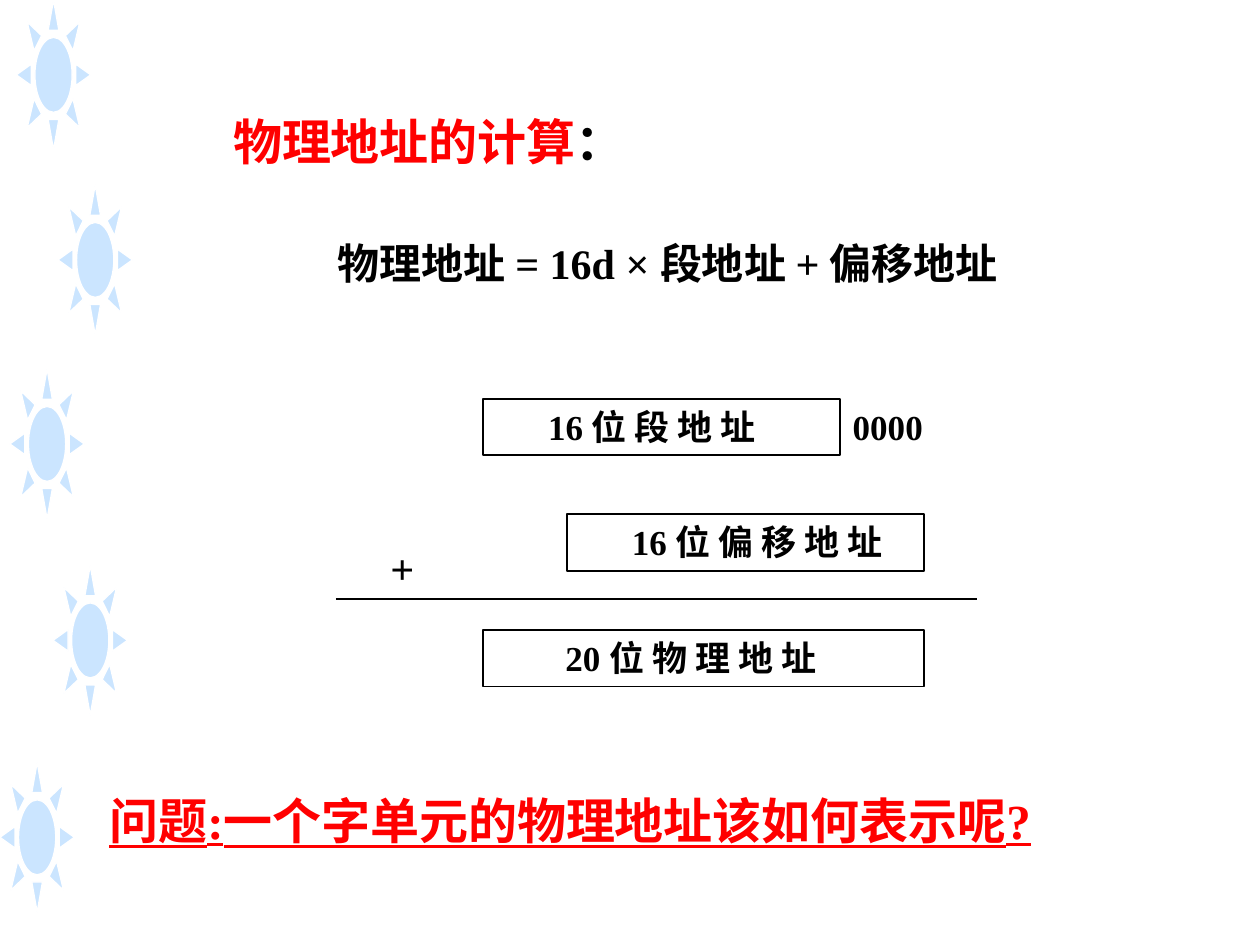
from lxml import etree
from pptx import Presentation
from pptx.dml.color import RGBColor
from pptx.enum import shapes, text
from pptx.oxml import ns
from pptx.util import Cm, Pt

FONT = "Times New Roman"
BLACK, RED, WHITE, PALE_BLUE = "000000", "FF0000", "FFFFFF", "99CCFF"


def color(target, value):
    target.rgb = RGBColor.from_string(value)


def write(sp, runs, size, wrap=True, align=text.PP_ALIGN.LEFT, indent=0, underline=None):
    """Fill a shape with one bold paragraph of (words, colour) runs."""
    tf = sp.text_frame
    frame = {"word_wrap": wrap, "vertical_anchor": text.MSO_ANCHOR.TOP,
             "auto_size": text.MSO_AUTO_SIZE.NONE,
             "margin_left": Cm(0.25 + indent), "margin_right": Cm(0.25),
             "margin_top": Cm(0.13), "margin_bottom": Cm(0.13)}
    for name, value in frame.items():
        setattr(tf, name, value)
    p = tf.paragraphs[0]
    p.alignment = align
    for words, ink in runs:
        r = p.add_run()
        r.text = words
        style = {"name": FONT, "size": Pt(size), "bold": True, "underline": underline}
        for name, value in style.items():
            setattr(r.font, name, value)
        color(r.font.color, ink)
    return p


prs = Presentation()
prs.slide_width, prs.slide_height = Cm(25.4), Cm(19.05)
s = prs.slides.add_slide(prs.slide_layouts[5])

# Suns down the left edge
for x, y in [(0.33, 0), (1.17, 3.73), (0.2, 7.44), (1.07, 11.4), (0, 15.37)]:
    sp = s.shapes.add_shape(shapes.MSO_SHAPE.SUN, Cm(x), Cm(y), Cm(1.5), Cm(3.02))
    sp.shadow.inherit = False
    sp.fill.solid()
    color(sp.fill.fore_color, PALE_BLUE)
    clr = sp.fill._xPr.find(ns.qn("a:solidFill"))[0]
    etree.SubElement(clr, ns.qn("a:alpha"), val="50000")
    color(sp.line.color, WHITE)
    sp.line.width = Pt(0.75)

# Title
title = s.shapes.title
place = {"left": Cm(4.45), "top": Cm(2.11), "width": Cm(8.46), "height": Cm(1.45)}
for name, value in place.items():
    setattr(title, name, value)
write(title, [("物理地址的计算", RED), ("：", BLACK)], 28, wrap=False)

# Formula with a hanging indent
sp = s.shapes.add_textbox(Cm(6.56), Cm(4.65), Cm(14.4), Cm(1.27))
p = write(sp, [("物理地址 = 16d × 段地址 + 偏移地址", BLACK)], 24, align=text.PP_ALIGN.JUSTIFY)
pPr = p._p.get_or_add_pPr()
pPr.set("marL", str(Cm(0.97)))
pPr.set("indent", str(Cm(-0.97)))

# Address boxes: words, left, top, width, text indent
boxes = [("16 位 段 地 址", 9.74, 8.04, 7.2, 1.06),
         ("16 位 偏 移 地 址", 11.43, 10.37, 7.2, 1.06),
         ("20 位 物 理 地 址", 9.74, 12.7, 8.89, 1.41)]
for words, x, y, w, indent in boxes:
    sp = s.shapes.add_shape(shapes.MSO_SHAPE.RECTANGLE, Cm(x), Cm(y), Cm(w), Cm(1.14))
    sp.shadow.inherit = False
    sp.fill.background()
    color(sp.line.color, BLACK)
    sp.line.width = Pt(1)
    write(sp, [(words, BLACK)], 20, indent=indent)

# Shifted zeros and plus sign
sp = s.shapes.add_textbox(Cm(14.82), Cm(8.04), Cm(4.66), Cm(1.1))
write(sp, [("0000", BLACK)], 20, indent=2.12)
sp = s.shapes.add_textbox(Cm(7.62), Cm(10.8), Cm(1), Cm(1.27))
write(sp, [("+", BLACK)], 24, wrap=False)

# Sum line
line = s.shapes.add_connector(shapes.MSO_CONNECTOR.STRAIGHT,
                              Cm(6.77), Cm(12.07), Cm(19.69), Cm(12.07))
color(line.line.color, BLACK)
line.line.width = Pt(1)
etree.SubElement(line._element.spPr, ns.qn("a:effectLst"))

# Closing question
sp = s.shapes.add_textbox(Cm(1.93), Cm(15.8), Cm(19.13), Cm(1.45))
write(sp, [("问题:一个字单元的物理地址该如何表示呢?", RED)], 28, wrap=False,
      align=text.PP_ALIGN.CENTER, underline=True)

prs.save("out.pptx")
